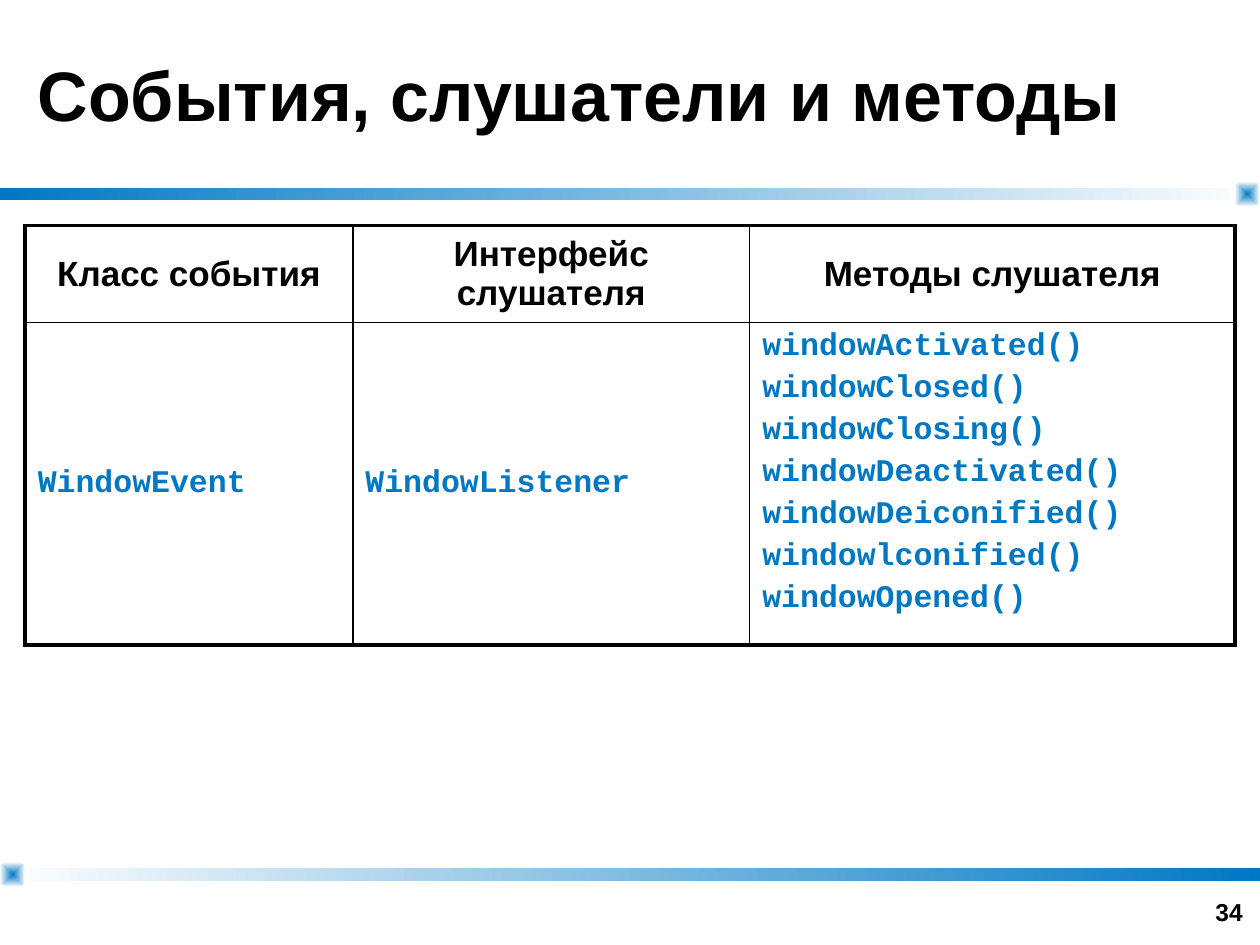
import pptx
import pptx.dml.color
import pptx.enum.shapes
import pptx.enum.text
import pptx.oxml
import pptx.oxml.ns
import pptx.util

Pt = pptx.util.Pt
SHAPE = pptx.enum.shapes.MSO_SHAPE
ALIGN = pptx.enum.text.PP_ALIGN
ANCHOR = pptx.enum.text.MSO_ANCHOR

COLORS = {"text": "000000", "accent": "0078C3", "paper": "FFFFFF"}
HEADERS = ["Класс события", "Интерфейс слушателя", "Методы слушателя"]
METHODS = ["Activated", "Closed", "Closing", "Deactivated",
           "Deiconified", "lconified", "Opened"]
ROW = ["WindowEvent", "WindowListener",
       "\n".join(f"window{name}()" for name in METHODS)]
COLUMN_WIDTHS = [187.2, 226.8, 277.2]
ROW_HEIGHTS = [55.44, 184.32]
OUTER, INNER = 2.25, 1


def rgb(name):
    return pptx.dml.color.RGBColor.from_string(COLORS[name])


class SlideBuilder:
    def __init__(self, slide, font="Arial", code_font="Courier New"):
        self.s = slide
        self.font = font
        self.code_font = code_font

    def format_text(self, tf, size, color="text", font=None,
                    align=ALIGN.LEFT, before=0):
        for p in tf.paragraphs:
            p.alignment = align
            p.space_before = Pt(before)
            for r in p.runs:
                r.font.size = Pt(size)
                r.font.name = font or self.font
                r.font.bold = True
                r.font.color.rgb = rgb(color)

    def gradient(self, kind, x, y, w, h, start, end):
        sp = self.s.shapes.add_shape(kind, Pt(x), Pt(y), Pt(w), Pt(h))
        sp.shadow.inherit = False
        sp.line.fill.background()
        sp.fill.gradient()
        sp.fill.gradient_angle = 0
        for stop, color, position in zip(sp.fill.gradient_stops, (start, end), (0, 1)):
            stop.color.rgb = rgb(color)
            stop.position = position
        return sp

    def bar(self, y, start, end):
        self.gradient(SHAPE.RECTANGLE, 0, y, 720, 7.2, start, end)

    def glow(self, x, y):
        """Rounded square shaded from its centre outwards."""
        sp = self.gradient(SHAPE.ROUNDED_RECTANGLE, x, y, 14.4, 14.4, "accent", "paper")
        sp.adjustments[0] = 0.32
        lin = sp._element.spPr.find(".//" + pptx.oxml.ns.qn("a:lin"))
        lin.getparent().replace(lin, pptx.oxml.parse_xml(
            f'<a:path {pptx.oxml.ns.nsdecls("a")} path="shape">'
            '<a:fillToRect l="50000" t="50000" r="50000" b="50000"/></a:path>'))

    def title(self, text, x, y, w, h):
        sp = self.s.shapes.title
        sp.left, sp.top, sp.width, sp.height = Pt(x), Pt(y), Pt(w), Pt(h)
        tf = sp.text_frame
        tf.text = text
        tf.vertical_anchor = ANCHOR.MIDDLE
        self.format_text(tf, 40)

    def page_number(self, text, x, y, w, h):
        tf = self.s.shapes.add_textbox(Pt(x), Pt(y), Pt(w), Pt(h)).text_frame
        tf.word_wrap = True
        tf.vertical_anchor = ANCHOR.BOTTOM
        tf.text = text
        self.format_text(tf, 14, align=ALIGN.RIGHT)

    def borders(self, cell, widths):
        """Draw cell borders; widths go left, right, top, bottom."""
        tc_pr = cell._tc.get_or_add_tcPr()
        for i, (side, width) in enumerate(zip("LRTB", widths)):
            tc_pr.insert(i, pptx.oxml.parse_xml(
                f'<a:ln{side} {pptx.oxml.ns.nsdecls("a")} w="{int(Pt(width))}">'
                f'<a:solidFill><a:srgbClr val="{COLORS["text"]}"/></a:solidFill>'
                f'</a:ln{side}>'))

    def table(self, rows, x, y):
        last_row, last_col = len(rows) - 1, len(rows[0]) - 1
        table = self.s.shapes.add_table(
            len(rows), len(rows[0]), Pt(x), Pt(y),
            Pt(sum(COLUMN_WIDTHS)), Pt(sum(ROW_HEIGHTS))).table
        table.first_row = table.horz_banding = False
        for column, width in zip(table.columns, COLUMN_WIDTHS):
            column.width = Pt(width)
        for i, (row, height) in enumerate(zip(rows, ROW_HEIGHTS)):
            table.rows[i].height = Pt(height)
            for j, text in enumerate(row):
                cell = table.cell(i, j)
                cell.fill.background()
                cell.text_frame.text = text
                is_list = "\n" in text
                cell.vertical_anchor = ANCHOR.TOP if is_list else ANCHOR.MIDDLE
                if i == 0:
                    self.format_text(cell.text_frame, 20, align=ALIGN.CENTER, before=4)
                else:
                    self.format_text(cell.text_frame, 18, "accent", self.code_font, before=3.6)
                edges = (j == 0, j == last_col, i == 0, i == last_row)
                self.borders(cell, [OUTER if edge else INNER for edge in edges])


def main():
    prs = pptx.Presentation()
    prs.slide_width, prs.slide_height = Pt(720), Pt(540)
    b = SlideBuilder(prs.slides.add_slide(prs.slide_layouts[5]))
    b.bar(107.3, "accent", "paper")
    b.bar(496.1, "paper", "accent")
    b.glow(705.6, 103.7)
    b.glow(0, 492.5)
    b.page_number("34", 549.4, 496.8, 167.8, 36)
    b.title("События, слушатели и методы", 14.4, 0, 691.2, 107.3)
    b.table([HEADERS, ROW], 14.4, 128.9)
    prs.save("out.pptx")


if __name__ == "__main__":
    main()
